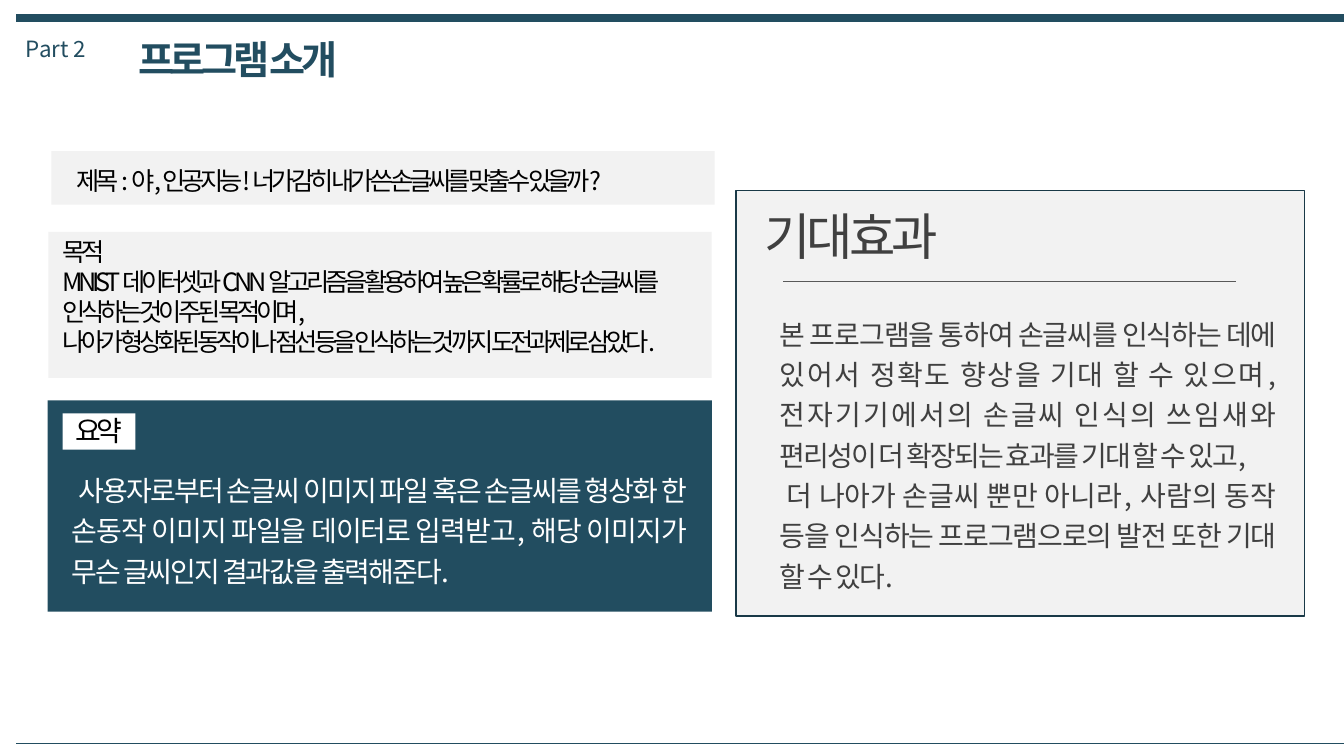
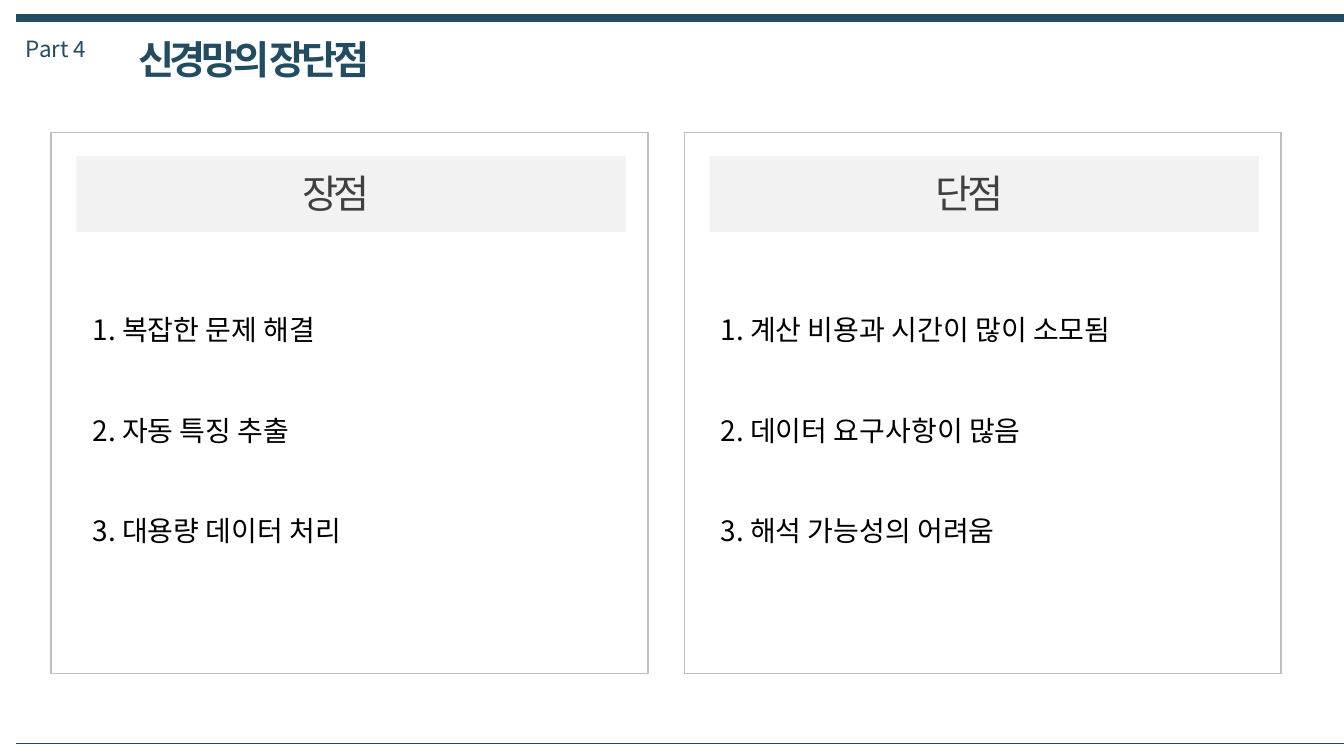
from lxml.etree import SubElement
from pptx import Presentation
from pptx.dml.color import RGBColor
from pptx.enum.shapes import MSO_CONNECTOR, MSO_SHAPE
from pptx.enum.text import PP_ALIGN as AL
from pptx.oxml.ns import qn
from pptx.util import Pt

FONT = "Noto Sans CJK KR"
NAVY = RGBColor(0x22, 0x4D, 0x60)
DARK_NAVY = RGBColor(0x19, 0x39, 0x47)
LIGHT = RGBColor(0xF2, 0xF2, 0xF2)
SILVER = RGBColor(0xBF, 0xBF, 0xBF)
GRAY = RGBColor(0x59, 0x59, 0x59)
CHARCOAL = RGBColor(0x40, 0x40, 0x40)
WHITE = RGBColor(0xFF, 0xFF, 0xFF)
BLACK = RGBColor(0, 0, 0)


def add_rect(s, x, y, w, h, fill, line=None):
    sp = s.shapes.add_shape(MSO_SHAPE.RECTANGLE, Pt(x), Pt(y), Pt(w), Pt(h))
    sp.shadow.inherit = False
    sp.fill.solid()
    sp.fill.fore_color.rgb = fill
    if line is None:
        sp.line.fill.background()
    else:
        sp.line.color.rgb = line
        sp.line.width = Pt(1)


def add_text(s, x, y, w, h, text, size, color, align=AL.LEFT, spacing=0,
             bold=False, line_spacing=None, gap=0):
    tf = s.shapes.add_textbox(Pt(x), Pt(y), Pt(w), Pt(h)).text_frame
    tf.word_wrap = True
    tf.text = text
    for i, p in enumerate(tf.paragraphs):
        p.alignment = align
        if line_spacing:
            p.line_spacing = line_spacing
        if i and gap:
            p.space_before = Pt(gap)
        for r in p.runs:
            r.font.name = FONT
            r.font.size = Pt(size)
            r.font.bold = bold
            r.font.color.rgb = color
            rPr = r._r.get_or_add_rPr()
            SubElement(rPr, qn("a:ea"), typeface=FONT)
            if spacing:
                rPr.set("spc", str(int(spacing * 100)))
    return tf


prs = Presentation()
prs.slide_width, prs.slide_height = Pt(960), Pt(540)

# Shared header text, and the rules every slide carries
rules = []
for part, title in (("Part 2", "프로그램 소개"), ("Part 4", "신경망의 장단점")):
    s = prs.slides.add_slide(prs.slide_layouts[6])
    add_text(s, 11.5, 21.6, 72, 27, part, 16, NAVY)
    add_text(s, 91.5, 21.6, 300, 41, title, 28, NAVY, spacing=-3, bold=True)
    rules += [(s, 11.5, 961, 13, NAVY, 6), (s, 11.5, 961, 530.6, NAVY, 0.25)]
intro, pros_cons = prs.slides

# Introduction: title, purpose and summary blocks
add_rect(intro, 34, 286, 474.5, 151, NAVY)
add_rect(intro, 36.7, 108, 473.8, 38.2, LIGHT)
add_rect(intro, 34.6, 165.6, 473.8, 104.4, LIGHT)
add_rect(intro, 44.7, 295.2, 52, 26, WHITE)
add_text(intro, 38.9, 114.5, 406, 29,
         "제목  :  야, 인공지능! 너가 감히 내가 쓴 손글씨를 맞출 수 있을까?",
         18, BLACK, AL.CENTER, -3)
add_text(intro, 37.4, 164.9, 472.3, 93,
         "목적\n"
         "MNIST 데이터셋과 CNN 알고리즘을 활용하여 높은 확률로 해당 손글씨를 "
         "인식하는 것이 주된 목적이며,\n"
         "나아가 형상화된 동작이나 점선 등을 인식하는 것 까지 도전과제로 삼았다.",
         18, BLACK, spacing=-3)
add_text(intro, 40.3, 291.6, 60.5, 31, "요약", 20, BLACK, AL.CENTER, -3)
summary = add_text(
    intro, 43.9, 329.8, 452.2, 93,
    "사용자로부터 손글씨 이미지 파일 혹은 손글씨를 형상화 한 손동작 이미지 "
    "파일을 데이터로 입력받고, 해당 이미지가 무슨 글씨인지 결과값을 출력해준다.",
    20, WHITE, AL.JUSTIFY, -1.5, line_spacing=1.2)

# Introduction: expected effects
add_rect(intro, 525.6, 136, 406, 304, LIGHT, DARK_NAVY)
add_text(intro, 535.7, 142.6, 144.7, 51, "기대효과", 36, CHARCOAL, AL.CENTER, -3)
effects = add_text(
    intro, 550, 218.2, 367.2, 208,
    "본 프로그램을 통하여 손글씨를 인식하는 데에 있어서 정확도 향상을 기대 할 "
    "수 있으며, 전자기기에서의 손글씨 인식의 쓰임새와 편리성이 더 확장되는 "
    "효과를 기대 할 수 있고,\n"
    "더 나아가 손글씨 뿐만 아니라, 사람의 동작 등을 인식하는 프로그램으로의 "
    "발전 또한 기대 할 수 있다.",
    20, CHARCOAL, AL.JUSTIFY, -1.5, line_spacing=1.2)
rules.append((intro, 559.4, 882.7, 200.9, GRAY, 0.5))

# First-line indents
for p in (summary.paragraphs[0], effects.paragraphs[1]):
    p._p.get_or_add_pPr().set("indent", str(Pt(5)))

# Pros and cons: two equal panels
panels = (
    ("장점", 59, ("복잡한 문제 해결", "자동 특징 추출", "대용량 데이터 처리")),
    ("단점", 507.6, ("계산 비용과 시간이 많이 소모됨", "데이터 요구사항이 많음",
                   "해석 가능성의 어려움")),
)
for i, (heading, list_x, items) in enumerate(panels):
    x = 36.5 + i * 452.3
    add_rect(pros_cons, x, 94.7, 426.4, 386.6, WHITE, SILVER)
    add_rect(pros_cons, x + 18, 111.6, 392.4, 54, LIGHT)
    add_text(pros_cons, x + 163.5, 117.7, 80, 41, heading, 28, CHARCOAL,
             AL.CENTER, -3)
    numbered = "\n".join(f"{n}. {item}" for n, item in enumerate(items, 1))
    add_text(pros_cons, list_x, 219.6, 390, 175, numbered, 20, BLACK, gap=48)

# Rules
for s, x1, x2, y, color, width in rules:
    ln = s.shapes.add_connector(MSO_CONNECTOR.STRAIGHT, Pt(x1), Pt(y), Pt(x2), Pt(y))
    ln.line.color.rgb = color
    ln.line.width = Pt(width)
    SubElement(ln._element.spPr, qn("a:effectLst"))

prs.save("out.pptx")
